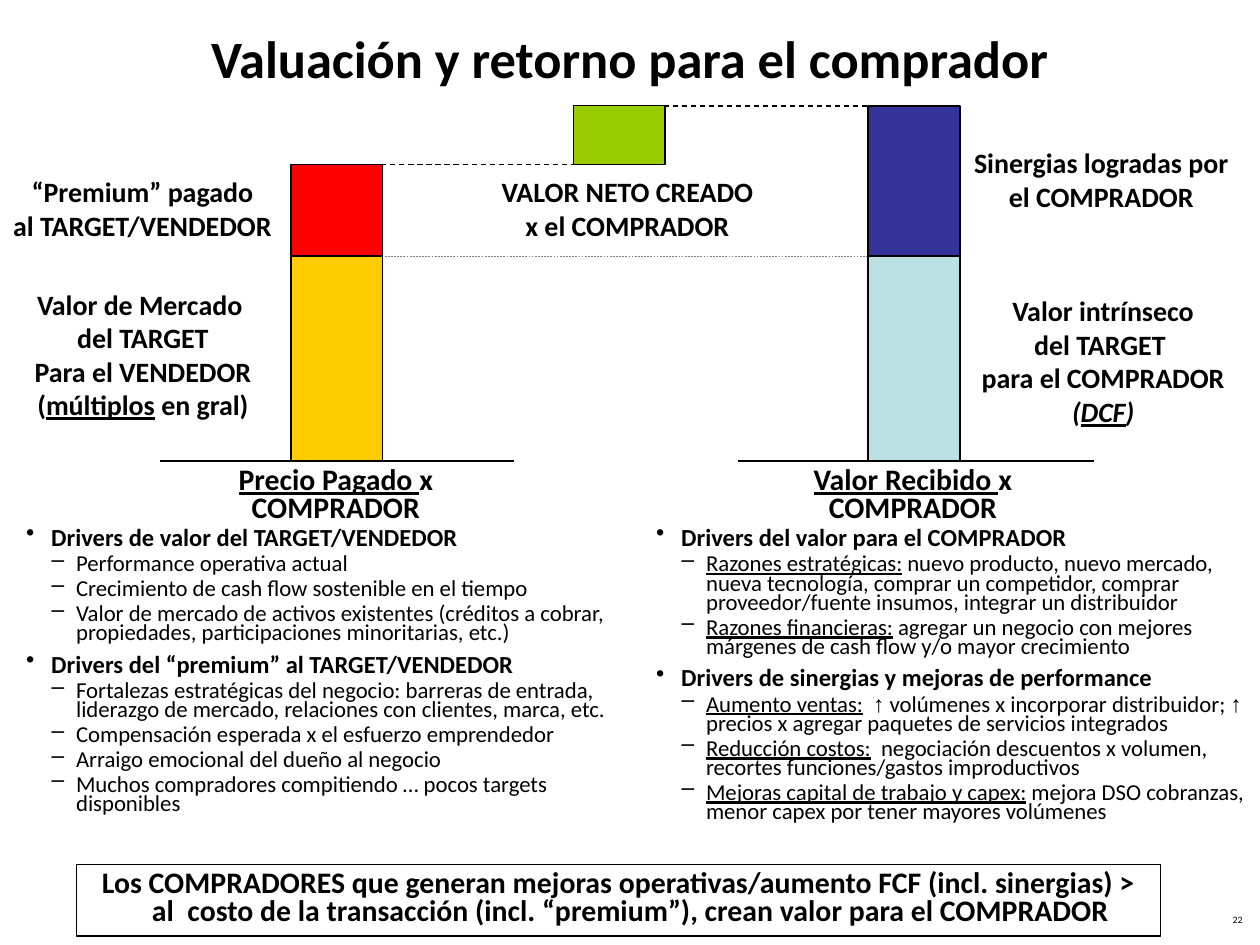
from itertools import groupby
from lxml import etree
from pptx import Presentation
from pptx.dml.color import RGBColor
from pptx.enum import dml, shapes, text
from pptx.oxml import ns
from pptx.util import Pt

THEME = {
    "font": "Calibri", "sign": "Arial",
    "ink": "000000", "gray": "808080",
    "gold": "FFCC00", "red": "FF0000", "green": "99CC00",
    "navy": "333399", "pale": "BBE0E3",
    "title": 30, "foot": 17, "label": 16, "head": 14, "item": 13, "page": 5.6,
}

TITLE = "Valuación y retorno para el comprador"
PAGE = "22"
CLAIM = ("Los COMPRADORES que generan mejoras operativas/aumento FCF (incl. sinergias) > "
         "al  costo de la transacción (incl. “premium”), crean valor para el COMPRADOR")
LABELS = [
    (["Valor de Mercado ", "del TARGET", "Para el VENDEDOR", "(_múltiplos_ en gral)"],
     (12.2, 160.5, 139, 84.2)),
    (["“Premium” pagado", "al TARGET/VENDEDOR"], (-0.7, 96.5, 164.2, 46.1)),
    (["Sinergias logradas por", "el COMPRADOR"], (549.4, 79.9, 159.8, 46.1)),
    (["Valor intrínseco", "del TARGET ", "para el COMPRADOR", "~(_DCF_)"],
     (553.7, 164.2, 153.4, 84.2)),
    (["VALOR NETO CREADO", "x el COMPRADOR"], (278.6, 96.5, 159.8, 46.1)),
]
BASES = [
    (["_Precio Pagado _x", "COMPRADOR"], (128.9, 263.5, 126, 40.3)),
    (["_Valor Recibido _x", "COMPRADOR"], (457.2, 263.5, 128.9, 40.3)),
]
COLUMNS = [
    [("Drivers de valor del TARGET/VENDEDOR", [
        "Performance operativa actual",
        "Crecimiento de cash flow sostenible en el tiempo",
        "Valor de mercado de activos existentes (créditos a cobrar, "
        "propiedades, participaciones minoritarias, etc.)"]),
     ("Drivers del “premium” al TARGET/VENDEDOR", [
        "Fortalezas estratégicas del negocio: barreras de entrada, "
        "liderazgo de mercado, relaciones con clientes, marca, etc.",
        "Compensación esperada x el esfuerzo emprendedor",
        "Arraigo emocional del dueño al negocio",
        "Muchos compradores compitiendo … pocos targets disponibles"])],
    [("Drivers del valor para el COMPRADOR", [
        "_Razones estratégicas:_ nuevo producto, nuevo mercado, nueva tecnología, "
        "comprar un competidor, comprar proveedor/fuente insumos, integrar un distribuidor",
        "_Razones financieras:_ agregar un negocio con mejores "
        "márgenes de cash flow y/o mayor crecimiento"]),
     ("Drivers de sinergias y mejoras de performance", [
        "_Aumento ventas:_  ↑ volúmenes x incorporar distribuidor; "
        "↑ precios x agregar paquetes de servicios integrados",
        "_Reducción costos:_  negociación descuentos x volumen, "
        "recortes funciones/gastos improductivos",
        "_Mejoras capital de trabajo y capex:_ mejora DSO cobranzas, "
        "menor capex por tener mayores volúmenes"])],
]

WIDE = 52.5
PAID, NET, GAIN = 166.3, 327.6, 496.1
TOP, PRICE, VALUE, BASE = 60.5, 94, 146.3, 263.5
BARS = [
    (PAID, VALUE, BASE, "gold"), (PAID, PRICE, VALUE, "red"),
    (NET, TOP, PRICE, "green"),
    (GAIN, VALUE, BASE, "pale"), (GAIN, TOP, VALUE, "navy"),
]
DASH = dml.MSO_LINE.DASH
LINES = [
    (PAID, NET + WIDE, PRICE, "ink", 0.75, DASH),
    (NET, GAIN + WIDE, TOP, "ink", 0.75, DASH),
    (PAID, GAIN + WIDE, VALUE, "gray", 0.25, DASH),
    (91.4, 293.8, BASE, "ink", 1.25, None),
    (422, 625, BASE, "ink", 1.25, None),
]


def color(name):
    return RGBColor.from_string(THEME[name])


def write(para, line, size="label", bold=True, align="CENTER", space=1, before=0,
          mark=None, left=0, hang=0, level=0):
    para.alignment = getattr(text.PP_ALIGN, align)
    para.line_spacing = space
    para.level = level
    if before:
        para.space_before = Pt(before)
    if left:
        props = para._p.get_or_add_pPr()
        props.set("marL", str(Pt(left)))
        props.set("indent", str(Pt(-hang)))
        if mark:
            etree.SubElement(props, ns.qn("a:buChar"), char=mark)
    slant = line.startswith("~")
    for spot, part in enumerate(line.lstrip("~").split("_")):
        for sign, chars in groupby(part, lambda c: c == "↑"):
            run = para.add_run()
            run.text = "".join(chars)
            font = run.font
            font.name = THEME["sign" if sign else "font"]
            font.size = Pt(THEME[size])
            font.bold = bold
            font.color.rgb = color("ink")
            if spot % 2:
                font.underline = True
            if slant:
                font.italic = True


def frame(slide, area, wrap=True, middle=False):
    box = slide.shapes.add_textbox(*map(Pt, area)).text_frame
    box.word_wrap = wrap
    if not wrap:
        box.auto_size = text.MSO_AUTO_SIZE.SHAPE_TO_FIT_TEXT
    if middle:
        box.vertical_anchor = text.MSO_ANCHOR.MIDDLE
    return box


def fill(box, rows):
    for spot, (line, form) in enumerate(rows):
        para = box.add_paragraph() if spot else box.paragraphs[0]
        write(para, line, **form)


def rect(slide, area, tint=None):
    shape = slide.shapes.add_shape(shapes.MSO_SHAPE.RECTANGLE, *map(Pt, area))
    shape.shadow.inherit = False
    if tint:
        shape.fill.solid()
        shape.fill.fore_color.rgb = color(tint)
    else:
        shape.fill.background()
    shape.line.color.rgb = color("ink")
    shape.line.width = Pt(0.75)
    return shape


def rule(slide, start, end, y, tint, width, dash):
    line = slide.shapes.add_connector(
        shapes.MSO_CONNECTOR.STRAIGHT, Pt(start), Pt(y), Pt(end), Pt(y))
    etree.SubElement(line._element.spPr, ns.qn("a:effectLst"))
    line.line.color.rgb = color(tint)
    line.line.width = Pt(width)
    if dash:
        line.line.dash_style = dash


def column(groups):
    for spot, (head, items) in enumerate(groups):
        yield head, dict(size="head", align="LEFT", space=0.7, before=7 if spot else 0,
                         mark="•", left=14.2, hang=14.2)
        for item in items:
            yield item, dict(size="item", bold=False, align="LEFT", space=0.7, before=3.3,
                             mark="–", left=28.5, hang=14, level=1)


def main():
    deck = Presentation()
    deck.slide_width, deck.slide_height = Pt(720), Pt(540)
    slide = deck.slides.add_slide(deck.slide_layouts[6])
    fill(frame(slide, (0, 0, 720, 65.5), middle=True), [(TITLE, dict(size="title"))])
    fill(frame(slide, (549.4, 519.8, 167.8, 15.1)),
         [(PAGE, dict(size="page", bold=False, align="RIGHT", space=0.8))])
    for spot, groups in enumerate(COLUMNS):
        fill(frame(slide, (7.9 + 360 * spot, 299.5, 354.2, 185)), column(groups))
    for line in LINES:
        rule(slide, *line)
    for x, top, end, tint in BARS:
        rect(slide, (x, top, WIDE, end - top), tint)
    for lines, area in LABELS:
        fill(frame(slide, area, wrap=False), [(line, {}) for line in lines])
    form = dict(size="foot", space=0.8)
    for lines, area in BASES:
        fill(frame(slide, area, wrap=False), [(line, form) for line in lines])
    box = rect(slide, (43.9, 493.9, 619.2, 41)).text_frame
    box.word_wrap = True
    box.vertical_anchor = text.MSO_ANCHOR.TOP
    fill(box, [(CLAIM, dict(form, left=13.7, hang=13.7))])
    deck.save("out.pptx")


if __name__ == "__main__":
    main()
